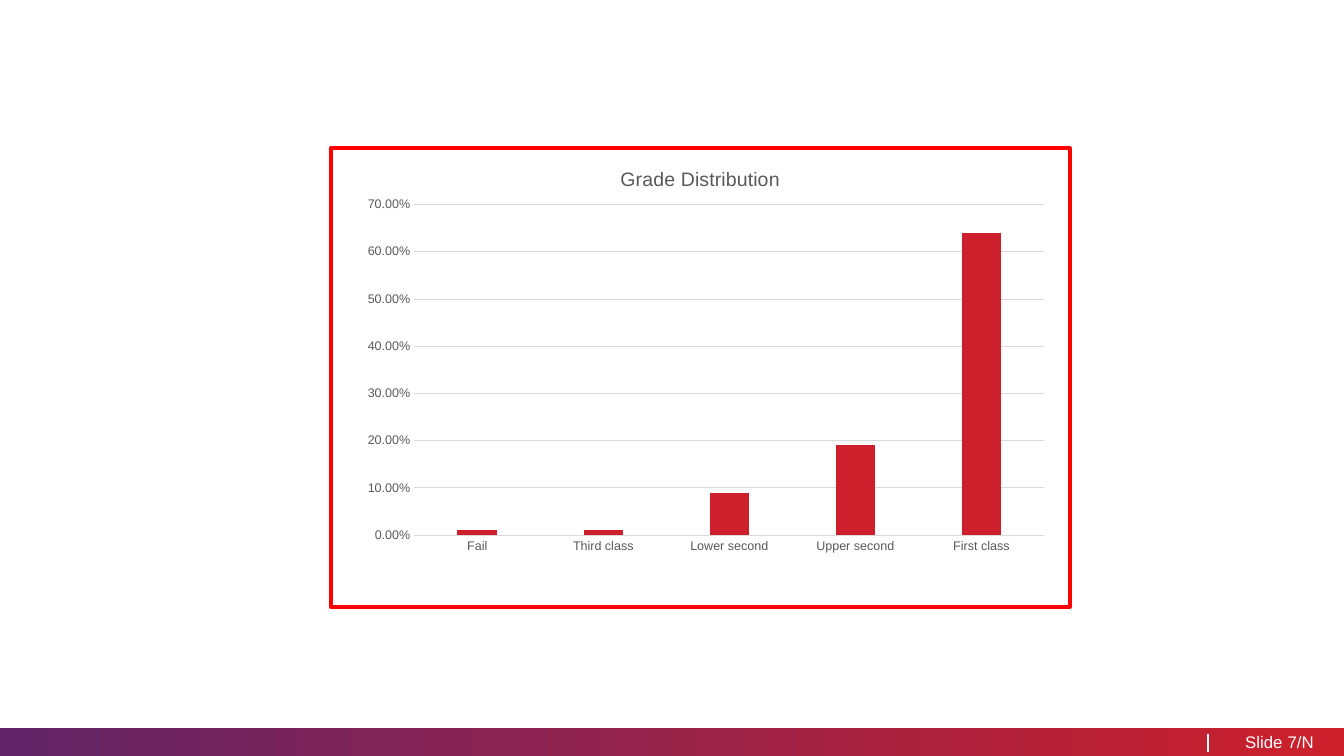
"""Build the grade distribution slide."""
from lxml.etree import SubElement
from pptx import Presentation
from pptx.chart.data import CategoryChartData
from pptx.dml.color import RGBColor
from pptx.enum.chart import XL_CHART_TYPE, XL_TICK_MARK
from pptx.enum.shapes import MSO_CONNECTOR, MSO_SHAPE
from pptx.enum.text import MSO_ANCHOR, PP_ALIGN
from pptx.oxml import parse_xml
from pptx.oxml.ns import nsdecls, qn
from pptx.util import Inches, Pt

COLOURS = {
    "purple": "622567",
    "crimson": "CD202C",
    "white": "FFFFFF",
    "frame": "FF0000",
    "label": "595959",
    "grid": "D9D9D9",
}
GRADES = {
    "Fail": 0.01,
    "Third class": 0.01,
    "Lower second": 0.09,
    "Upper second": 0.19,
    "First class": 0.64,
}
PLOT_AREA = {"x": 0.113, "y": 0.123, "w": 0.853, "h": 0.721}


def colour(name):
    """Return the named colour."""
    return RGBColor.from_string(COLOURS[name])


def format_font(font, size, colour_name):
    """Apply the slide's typeface with a size and colour."""
    font.name = "Arial"
    font.size = Pt(size)
    font.bold = False
    font.color.rgb = colour(colour_name)


def write_text(frame, text, size=12, colour_name="white", align=PP_ALIGN.LEFT):
    """Write one formatted paragraph into a text frame."""
    paragraph = frame.paragraphs[0]
    paragraph.alignment = align
    run = paragraph.add_run()
    run.text = text
    format_font(run.font, size, colour_name)


class SlideBuilder:
    """Hold the current slide and draw its elements in one style."""

    def __init__(self, slide):
        """Keep the slide to draw on."""
        self.slide = slide

    def gradient_bar(self, left, top, width, height, colour_names):
        """Draw a rectangle with a horizontal two-colour gradient."""
        shape = self.slide.shapes.add_shape(
            MSO_SHAPE.RECTANGLE, Inches(left), Inches(top), Inches(width), Inches(height))
        shape.shadow.inherit = False
        shape.line.fill.background()
        shape.fill.gradient()
        shape.fill.gradient_angle = 0
        for stop, position, name in zip(shape.fill.gradient_stops, (0, 1), colour_names):
            stop.position = position
            stop.color.rgb = colour(name)

    def label(self, left, top, width, height, text, **text_format):
        """Add a vertically centred text box without side insets."""
        shape = self.slide.shapes.add_textbox(
            Inches(left), Inches(top), Inches(width), Inches(height))
        frame = shape.text_frame
        frame.word_wrap = True
        frame.margin_left = frame.margin_right = 0
        frame.vertical_anchor = MSO_ANCHOR.MIDDLE
        write_text(frame, text, **text_format)

    def vertical_line(self, left, top, bottom, colour_name):
        """Draw a thin vertical line."""
        connector = self.slide.shapes.add_connector(
            MSO_CONNECTOR.STRAIGHT, Inches(left), Inches(top), Inches(left), Inches(bottom))
        connector.line.color.rgb = colour(colour_name)
        connector.line.width = Pt(1)
        SubElement(connector.element.spPr, qn("a:effectLst"))

    def column_chart(self, left, top, width, height, title, values):
        """Add a framed column chart of percentages."""
        data = CategoryChartData(number_format="0.00%")
        data.categories = list(values)
        data.add_series("Series 1", list(values.values()))
        chart = self.slide.shapes.add_chart(
            XL_CHART_TYPE.COLUMN_CLUSTERED, Inches(left), Inches(top),
            Inches(width), Inches(height), data).chart
        chart.has_legend = False
        format_font(chart.font, 10, "label")
        write_text(chart.chart_title.text_frame, title, size=14, colour_name="label",
                   align=PP_ALIGN.CENTER)
        plot = chart.plots[0]
        plot.gap_width = 219
        plot.overlap = -27
        plot.vary_by_categories = False
        fill = plot.series[0].format.fill
        fill.solid()
        fill.fore_color.rgb = colour("crimson")
        self.style_axes(chart)
        self.frame_chart(chart)
        self.place_plot(chart)

    def style_axes(self, chart):
        """Format the axes and gridlines."""
        for axis in (chart.category_axis, chart.value_axis):
            axis.major_tick_mark = axis.minor_tick_mark = XL_TICK_MARK.NONE
            format_font(axis.tick_labels.font, 9, "label")
        value_axis = chart.value_axis
        value_axis.minimum_scale = 0
        value_axis.maximum_scale = 0.7
        value_axis.major_unit = 0.1
        value_axis.tick_labels.number_format = "0.00%"
        value_axis.tick_labels.number_format_is_linked = False
        value_axis.format.line.fill.background()
        value_axis.has_major_gridlines = True
        for line in (chart.category_axis.format.line, value_axis.major_gridlines.format.line):
            line.color.rgb = colour("grid")
            line.width = Pt(0.75)

    def frame_chart(self, chart):
        """Give the chart area a white fill and a red border."""
        area = chart.element.find(qn("c:chart"))
        area.addnext(parse_xml(
            f'<c:spPr {nsdecls("c", "a")}>'
            f'<a:solidFill><a:srgbClr val="{COLOURS["white"]}"/></a:solidFill>'
            f'<a:ln w="{Pt(3)}"><a:solidFill><a:srgbClr val="{COLOURS["frame"]}"/>'
            '</a:solidFill><a:round/></a:ln></c:spPr>'))

    def place_plot(self, chart):
        """Set the inner plot area as fractions of the chart."""
        plot_area = chart.element.find(qn("c:chart")).find(qn("c:plotArea"))
        for layout in plot_area.findall(qn("c:layout")):
            plot_area.remove(layout)
        modes = "".join(f'<c:{key}Mode val="edge"/>' for key in "xy")
        sizes = "".join(f'<c:{key} val="{value}"/>' for key, value in PLOT_AREA.items())
        plot_area.insert(0, parse_xml(
            f'<c:layout {nsdecls("c")}><c:manualLayout><c:layoutTarget val="inner"/>'
            f'{modes}{sizes}</c:manualLayout></c:layout>'))


def main():
    """Create and save the presentation."""
    presentation = Presentation()
    presentation.slide_width = Inches(13.33)
    presentation.slide_height = Inches(7.5)
    builder = SlideBuilder(presentation.slides.add_slide(presentation.slide_layouts[6]))
    footer_top, footer_height = 7.22, 0.28
    builder.gradient_bar(0, footer_top, 13.33, footer_height, ("purple", "crimson"))
    builder.label(12.29, footer_top, 0.43, footer_height, "Slide", align=PP_ALIGN.RIGHT)
    builder.vertical_line(11.98, 7.28, 7.46, "white")
    builder.label(12.77, footer_top, 0.56, footer_height, "7/N")
    builder.column_chart(3.26, 1.45, 7.37, 4.59, "Grade Distribution", GRADES)
    presentation.save("out.pptx")


main()
